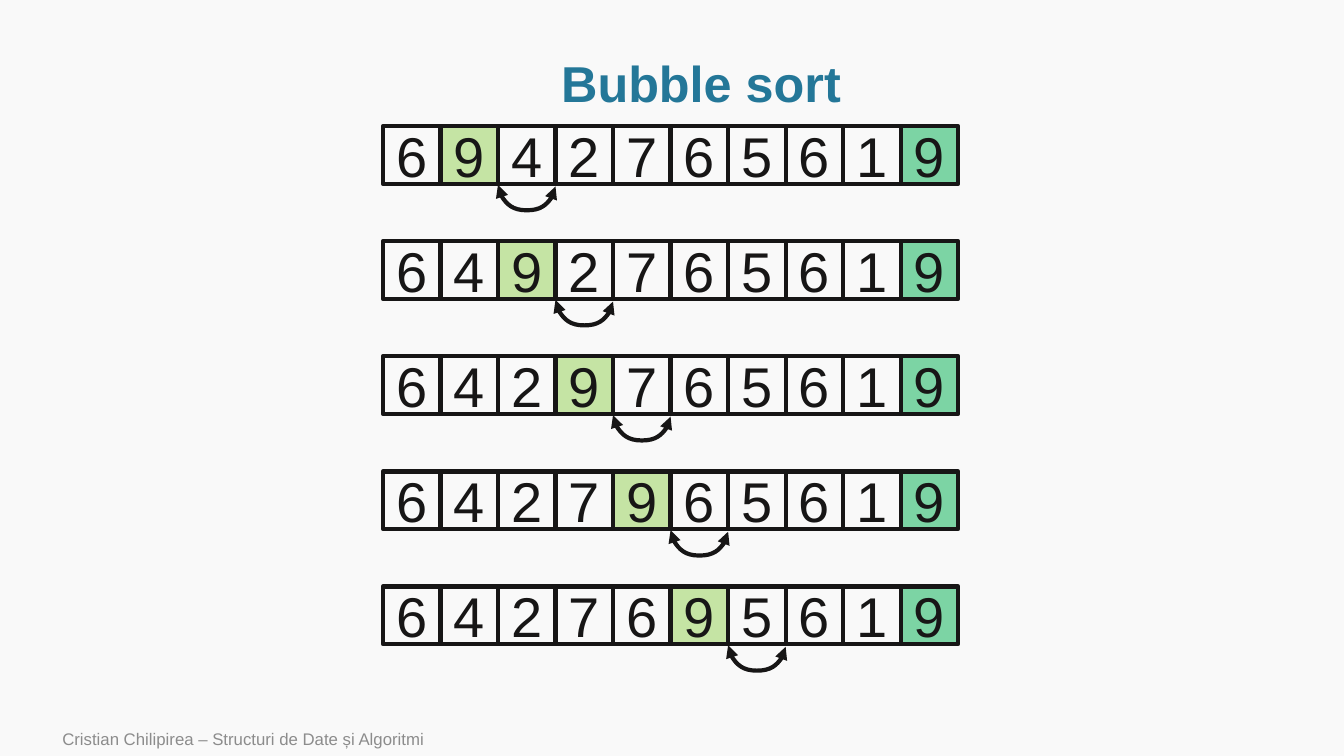
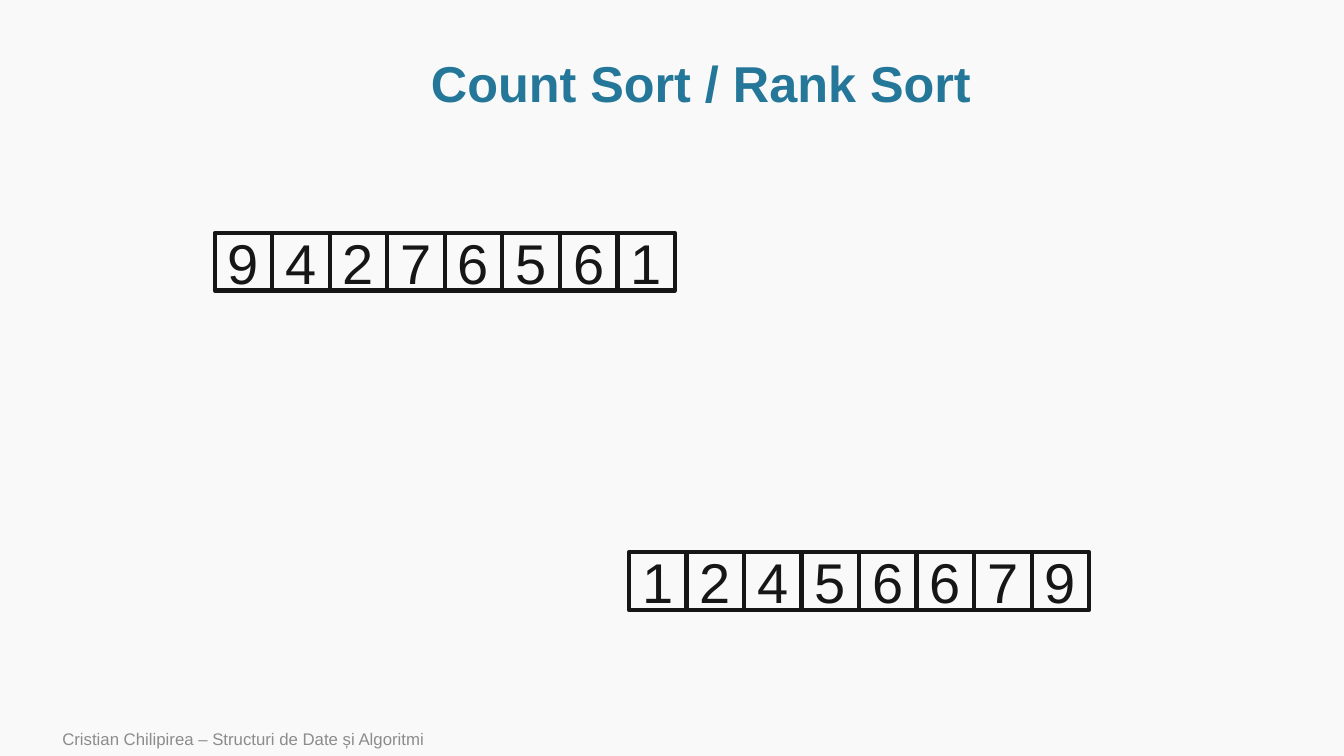
from lxml import etree
from pptx import Presentation
from pptx.dml.color import RGBColor
from pptx.enum import shapes, text
from pptx.oxml import ns
from pptx.util import Cm, Pt

FONT = "Arial"
INK = "171616"
TEAL = "247798"
GRAY = "8C8C8C"
PAPER = "F9F9F9"
LIME = "92D050"
GREEN = "00B050"
CELL = 1.45
LEFT, TOP, PITCH = 9.65, 3.18, 2.9
FOOT = "Cristian Chilipirea – Structuri de Date și Algoritmi"


def rgb(code):
    return RGBColor.from_string(code)


def node(base, tag, **attrs):
    return etree.SubElement(base, ns.qn(tag), attrs)


def write(shape, words, size, color, bold=False, align=text.PP_ALIGN.CENTER):
    frame = shape.text_frame
    frame.word_wrap = True
    frame.vertical_anchor = text.MSO_ANCHOR.MIDDLE
    par = frame.paragraphs[0]
    par.alignment = align
    run = par.add_run()
    run.text = words
    run.font.name = FONT
    run.font.size = Pt(size)
    run.font.bold = bold
    run.font.color.rgb = rgb(color)
    return par


def label(slide, box, words, size, color, **style):
    shape = slide.shapes.add_textbox(*map(Cm, box))
    return write(shape, words, size, color, **style)


def stroke(shape):
    shape.line.color.rgb = rgb(INK)
    shape.line.width = Pt(3)


def cell(slide, left, top, value, color=None):
    box = slide.shapes.add_shape(
        shapes.MSO_SHAPE.RECTANGLE, Cm(left), Cm(top), Cm(CELL), Cm(CELL))
    box.shadow.inherit = False
    if color:
        box.fill.solid()
        box.fill.fore_color.rgb = rgb(color)
        tint = box._element.spPr.find(".//" + ns.qn("a:srgbClr"))
        node(tint, "a:alpha", val="50000")
    else:
        box.fill.background()
    stroke(box)
    write(box, str(value), 40, INK)


def array(slide, left, top, values, marks=None):
    marks = marks or {}
    for i, value in enumerate(values):
        cell(slide, left + i * CELL, top, value, marks.get(i))


def swap(slide, left, top):
    rise, depth = 0.04, 0.64
    x = left + CELL
    y = top + CELL + 0.03 - (CELL - rise) / 2
    arc = slide.shapes.add_connector(
        shapes.MSO_CONNECTOR.CURVE,
        Cm(x + rise / 2), Cm(y), Cm(x - rise / 2), Cm(y + CELL))
    stroke(arc)
    props = arc._element.spPr
    props.find(ns.qn("a:xfrm")).set("rot", str(270 * 60000))
    guides = props.find(".//" + ns.qn("a:avLst"))
    bend = round(depth / rise * 100000)
    node(guides, "a:gd", name="adj1", fmla=f"val {bend}")
    line = props.find(ns.qn("a:ln"))
    for end in ("a:headEnd", "a:tailEnd"):
        node(line, end, type="triangle")
    node(props, "a:effectLst")


def page(deck, title):
    slide = deck.slides.add_slide(deck.slide_layouts[6])
    slide.background.fill.solid()
    slide.background.fill.fore_color.rgb = rgb(PAPER)
    par = label(slide, (2.9, 1.3, 29.54, 1.75), title, 36, TEAL, bold=True)
    par.line_spacing = 0.9
    label(slide, (1.32, 18.19, 21.34, 0.86), FOOT, 12, GRAY,
          align=text.PP_ALIGN.LEFT)
    return slide


def bubble(deck):
    slide = page(deck, "Bubble sort")
    values = [6, 9, 4, 2, 7, 6, 5, 6, 1, 9]
    last = len(values) - 1
    for step in range(5):
        i = step + 1
        top = TOP + step * PITCH
        array(slide, LEFT, top, values, {i: LIME, last: GREEN})
        swap(slide, LEFT + (i + 0.5) * CELL - CELL / 2 + CELL / 2 - CELL / 2 + CELL / 2, top)
        values[i], values[i + 1] = values[i + 1], values[i]


def rank(deck):
    slide = page(deck, "Count Sort / Rank Sort")
    values = [9, 4, 2, 7, 6, 5, 6, 1]
    array(slide, 5.41, 5.87, values)
    array(slide, 15.85, 13.92, sorted(values))


def main():
    deck = Presentation()
    deck.slide_width = Cm(33.87)
    deck.slide_height = Cm(19.05)
    bubble(deck)
    rank(deck)
    deck.save("out.pptx")


if __name__ == "__main__":
    main()
